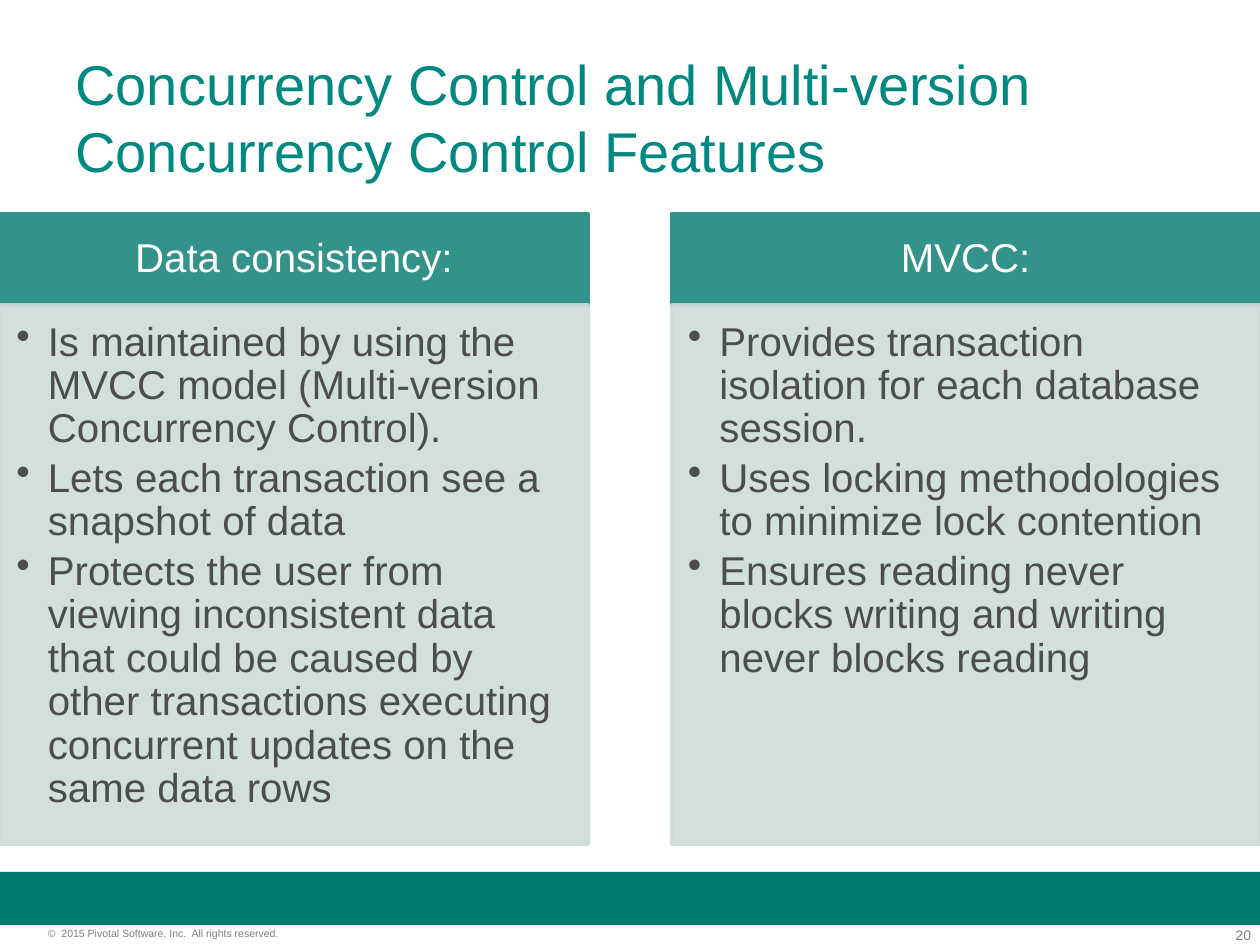
import pptx
import pptx.dml.color
import pptx.enum.shapes
import pptx.enum.text
import pptx.oxml.ns
import pptx.util
from lxml import etree

Inches = pptx.util.Inches
Pt = pptx.util.Pt
RGBColor = pptx.dml.color.RGBColor
ALIGN = pptx.enum.text.PP_ALIGN
ANCHOR = pptx.enum.text.MSO_ANCHOR
RECT = pptx.enum.shapes.MSO_SHAPE.RECTANGLE
qn = pptx.oxml.ns.qn

WHITE = RGBColor(0xFF, 0xFF, 0xFF)
GREEN = RGBColor(0x00, 0x78, 0x6E)
TEAL = RGBColor(0x00, 0x88, 0x81)
HEAD = RGBColor(0x33, 0x92, 0x8A)
PALE = RGBColor(0xCE, 0xDC, 0xDA)
DARK = RGBColor(0x4D, 0x4D, 0x4D)
GRAY = RGBColor(0x7F, 0x7F, 0x7F)

SIDES = ("margin_left", "margin_top", "margin_right", "margin_bottom")
HEAD_TEXT = {"alignment": ALIGN.CENTER, "line_spacing": 0.9}
BODY_TEXT = {"level": 1, "line_spacing": 0.9, "space_after": Pt(3.45)}

COLUMNS = [
    ("Data consistency:", [
        "Is maintained by using the MVCC model (Multi-version Concurrency Control).",
        "Lets each transaction see a snapshot of data",
        "Protects the user from viewing inconsistent data that could be caused by "
        "other transactions executing concurrent updates on the same data rows",
    ]),
    ("MVCC:", [
        "Provides transaction isolation for each database session.",
        "Uses locking methodologies to minimize lock contention",
        "Ensures reading never blocks writing and writing never blocks reading",
    ]),
]


def assign(target, values):
    for name, value in values.items():
        setattr(target, name, value)


def add_bullet(para):
    props = para._p.get_or_add_pPr()
    props.set("marL", str(Inches(0.25)))
    props.set("indent", str(-Inches(0.25)))
    etree.SubElement(props, qn("a:buChar"), char="•")


def write(shape, lines, size, color, insets, anchor=ANCHOR.TOP, form=None, bullet=False):
    """Fill a shape with paragraphs that share one format."""
    frame = shape.text_frame
    assign(frame, {"word_wrap": True, "vertical_anchor": anchor})
    assign(frame, dict(zip(SIDES, map(Inches, insets))))
    for i, line in enumerate(lines):
        para = frame.add_paragraph() if i else frame.paragraphs[0]
        para.text = line
        assign(para, {"alignment": ALIGN.LEFT, **(form or {})})
        if bullet:
            add_bullet(para)
        assign(para.font, {"name": "Arial", "size": Pt(size)})
        para.font.color.rgb = color


def add_panel(slide, box, color, alpha=None, edge=True):
    """Add a flat rectangle; alpha is its opacity in percent."""
    panel = slide.shapes.add_shape(RECT, *map(Inches, box))
    panel.shadow.inherit = False
    panel.fill.solid()
    panel.fill.fore_color.rgb = color
    if edge:
        panel.line.color.rgb = color
        panel.line.width = Pt(2)
    else:
        panel.line.fill.background()
    if alpha:
        for tint in panel._element.spPr.iter(qn("a:srgbClr")):
            etree.SubElement(tint, qn("a:alpha"), val=str(alpha * 1000))
    return panel


def add_label(slide, box, text, size, color, insets=(0, 0, 0, 0), **style):
    label = slide.shapes.add_textbox(*map(Inches, box))
    write(label, [text], size, color, insets, **style)


def add_column(slide, box, title, points):
    left, top, width, height = box
    cap = 0.72
    head = add_panel(slide, (left, top, width, cap), HEAD)
    write(head, [title], 23, WHITE, (0.18, 0.1, 0.18, 0.1), ANCHOR.MIDDLE, HEAD_TEXT)
    body = add_panel(slide, (left, top + cap, width, height - cap), PALE, alpha=90)
    write(body, points, 23, DARK, (0.13, 0.13, 0.18, 0.2), form=BODY_TEXT, bullet=True)


def add_columns(slide, box, gap):
    left, top, width, height = box
    each = (width - gap * (len(COLUMNS) - 1)) / len(COLUMNS)
    for i, (title, points) in enumerate(COLUMNS):
        add_column(slide, (left + i * (each + gap), top, each, height), title, points)


def add_footer(slide, box):
    left, top, width, height = box
    add_panel(slide, (left, top, width, height), GREEN, edge=False)
    base = top + height
    add_label(slide, (left + width - 0.65, base + 0.01, 0.58, 0.13), "20", 8, GRAY,
              form={"alignment": ALIGN.RIGHT})
    add_label(slide, (left + 0.38, base + 0.02, 2.49, 0.1),
              "©  2015 Pivotal Software, Inc.  All rights reserved.", 6, GRAY)


def main():
    deck = pptx.Presentation()
    assign(deck, {"slide_width": Inches(10), "slide_height": Inches(7.5)})
    slide = deck.slides.add_slide(deck.slide_layouts[6])
    add_footer(slide, (0, 6.92, 10, 0.42))
    add_label(slide, (0.5, 0.3, 9, 1.25),
              "Concurrency Control and Multi-version Concurrency Control Features",
              32, TEAL, (0.1, 0.05, 0.1, 0.05), anchor=ANCHOR.MIDDLE)
    add_columns(slide, (0, 1.7, 10, 5), gap=0.66)
    deck.save("out.pptx")


if __name__ == "__main__":
    main()
